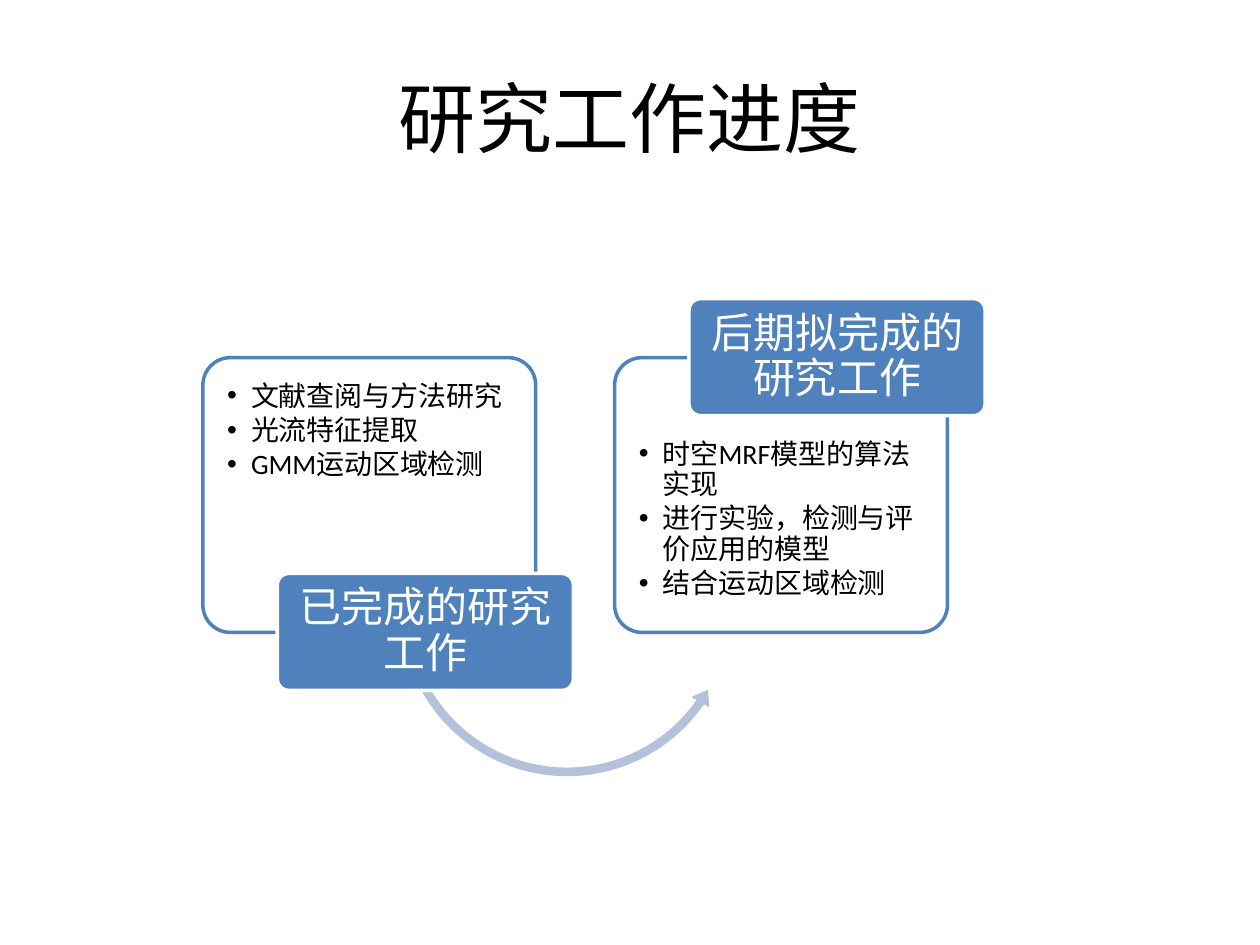
"""Build the research progress slide with finished and planned work."""
import pptx
import pptx.util
import pptx.dml.color
import pptx.enum.shapes
import pptx.enum.text
import pptx.oxml

Cm, Pt = pptx.util.Cm, pptx.util.Pt
RGBColor = pptx.dml.color.RGBColor
SHAPE = pptx.enum.shapes.MSO_SHAPE
ANCHOR = pptx.enum.text.MSO_ANCHOR
ALIGN = pptx.enum.text.PP_ALIGN

BLUE = RGBColor(0x4F, 0x81, 0xBD)
PALE_BLUE = RGBColor(0xB3, 0xC1, 0xDB)
WHITE = RGBColor(0xFF, 0xFF, 0xFF)
BLACK = RGBColor(0x00, 0x00, 0x00)
FONT = "Calibri"

LEFT, STEP = 4.09, 8.3
STAGES = [
    ("已完成的研究工作", 11.56, 7.34,
     ["文献查阅与方法研究", "光流特征提取", "GMM运动区域检测"]),
    ("后期拟完成的研究工作", 6.02, 8.51,
     ["时空MRF模型的算法实现", "进行实验，检测与评价应用的模型", "结合运动区域检测"]),
]


def place(sp, x, y, w, h):
    """Move and size a shape, in centimetres."""
    sp.left, sp.top, sp.width, sp.height = Cm(x), Cm(y), Cm(w), Cm(h)


def set_margins(tf, x, y):
    """Set equal side margins and equal top and bottom margins."""
    tf.margin_left = tf.margin_right = Cm(x)
    tf.margin_top = tf.margin_bottom = Cm(y)


def format_paragraph(p, size, color, after=0):
    """Format the runs and spacing of one paragraph."""
    p.line_spacing = 0.9
    p.space_before = Pt(0)
    p.space_after = Pt(after)
    for r in p.runs:
        r.font.name = FONT
        r.font.size = Pt(size)
        r.font.color.rgb = color


def add_shape(s, kind, x, y, w, h, fill, line=None):
    """Add a flat preset shape."""
    sp = s.shapes.add_shape(kind, Cm(x), Cm(y), Cm(w), Cm(h))
    sp.shadow.inherit = False
    sp.fill.solid()
    sp.fill.fore_color.rgb = fill
    if line is None:
        sp.line.fill.background()
    else:
        sp.line.color.rgb = line
        sp.line.width = Pt(2)
    return sp


def add_box(s, x, y, w, h, fill, line):
    """Add a rectangle with slightly rounded corners."""
    sp = add_shape(s, SHAPE.ROUNDED_RECTANGLE, x, y, w, h, fill, line)
    sp.adjustments[0] = 0.1
    return sp


def add_arrow(s):
    """Add the curved arrow from the first stage to the second."""
    sp = add_shape(s, SHAPE.LEFT_CIRCULAR_ARROW, 7.95, 8.81, 6.96, 6.96, PALE_BLUE)
    for i, value in enumerate([0.025, 3.094, 20.849, 90.245, 0.03]):
        sp.adjustments[i] = value


def add_tag(s, text, x, y):
    """Add the blue heading of a stage."""
    sp = add_box(s, x, y, 5.97, 2.36, BLUE, WHITE)
    tf = sp.text_frame
    tf.word_wrap = True
    tf.vertical_anchor = ANCHOR.MIDDLE
    set_margins(tf, 0.12, 0.08)
    tf.text = text
    p = tf.paragraphs[0]
    p.alignment = ALIGN.CENTER
    format_paragraph(p, 24, WHITE)


def fill_list(s, sp, items, x, y):
    """Put the bulleted items in a body placeholder, in front of its card."""
    s.shapes._spTree.append(sp._element)
    place(sp, x, y, 6.45, 4.09)
    tf = sp.text_frame
    tf.auto_size = pptx.enum.text.MSO_AUTO_SIZE.NONE
    set_margins(tf, 0.36, 0.36)
    tf.text = "\n".join(items)
    for p in tf.paragraphs:
        format_paragraph(p, 16, BLACK, after=2.4)
        pPr = p._p.get_or_add_pPr()
        pPr.set("marL", str(Cm(0.48)))
        pPr.set("indent", str(-Cm(0.48)))


def fill_title(sp, text):
    """Write the slide title."""
    place(sp, 1.27, 0.76, 22.86, 3.18)
    tf = sp.text_frame
    tf.vertical_anchor = ANCHOR.MIDDLE
    tf.text = text
    p = tf.paragraphs[0]
    p.alignment = ALIGN.CENTER
    r = p.runs[0]
    r.font.name, r.font.size = FONT, Pt(44)
    r.font.color.rgb = BLACK


def main():
    """Build and save the slide."""
    prs = pptx.Presentation()
    prs.slide_width, prs.slide_height = Cm(25.4), Cm(19.05)
    s = prs.slides.add_slide(prs.slide_layouts[3])
    title, *bodies = s.placeholders
    fill_title(title, "研究工作进度")
    add_arrow(s)
    for i, (body, stage) in enumerate(zip(bodies, STAGES)):
        heading, tag_top, list_top, items = stage
        x = LEFT + i * STEP
        add_box(s, x, 7.21, 6.71, 5.54, WHITE, BLUE)
        fill_list(s, body, items, x + 0.13, list_top)
        add_tag(s, heading, x + 1.5, tag_top)
    prs.save("out.pptx")


if __name__ == "__main__":
    main()
